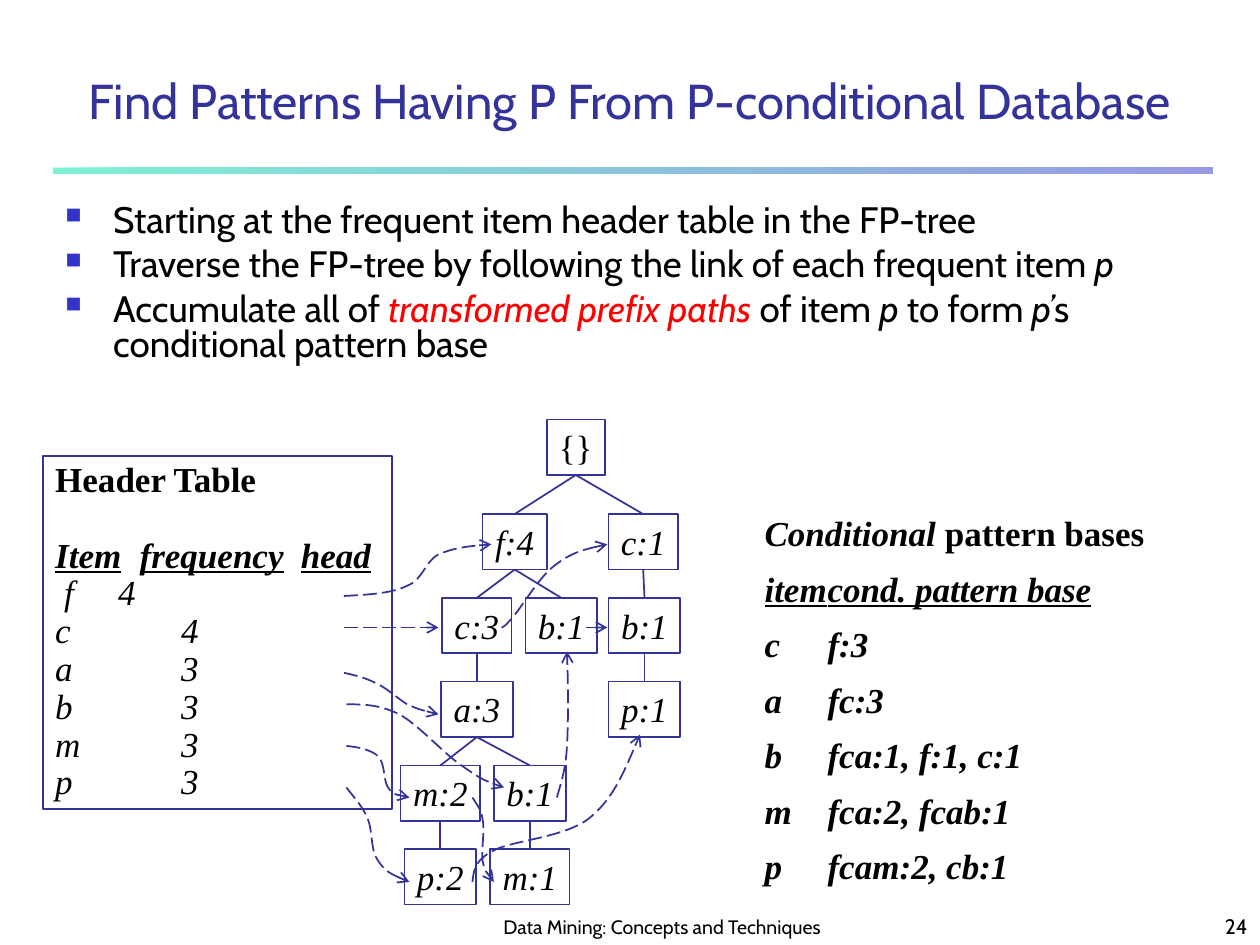
from dataclasses import dataclass, field
from typing import Optional

from lxml import etree
from pptx import Presentation
from pptx.dml.color import RGBColor
from pptx.enum.dml import MSO_LINE
from pptx.enum.shapes import MSO_CONNECTOR, MSO_SHAPE
from pptx.enum.text import MSO_ANCHOR, PP_ALIGN
from pptx.oxml.ns import qn
from pptx.util import Inches, Pt

LEFT, CENTER, RIGHT = PP_ALIGN.LEFT, PP_ALIGN.CENTER, PP_ALIGN.RIGHT
TOP, BOTTOM = MSO_ANCHOR.TOP, MSO_ANCHOR.BOTTOM
RECTANGLE, STRAIGHT = MSO_SHAPE.RECTANGLE, MSO_CONNECTOR.STRAIGHT
LONG_DASH = MSO_LINE.LONG_DASH


@dataclass(frozen=True)
class Theme:
    sans: str = "Cabin"
    serif: str = "Times New Roman"
    ink: str = "000000"
    navy: str = "333399"
    bullet: str = "3333CC"
    mint: str = "00E4A8"
    accent: str = "FF0000"
    title: float = 28
    body: float = 21
    tree: float = 20
    footer: float = 11.1
    number: float = 12
    line: float = 1


THEME = Theme()


@dataclass
class Para:
    runs: list
    spacing: float = 1.0
    before: float = 0
    align: PP_ALIGN = LEFT
    bullet: bool = False
    indent: float = 0
    tabs: tuple = ()


@dataclass
class Style:
    font: str
    size: float
    color: str = THEME.ink
    format: dict = field(default_factory=dict)


@dataclass(frozen=True)
class Node:
    label: str
    left: float
    level: int
    width: float
    parent: Optional[int] = None
    height: float = 0.44

    @property
    def top(self) -> float:
        return 4.08 + 0.665 * (self.level - 1) if self.level else 3.33

    @property
    def middle(self) -> float:
        return self.left + self.width / 2


def add_child(parent, tag: str, **attributes):
    return etree.SubElement(parent, qn(tag), attributes)


def write(frame, paras: list, style: Style, anchor=TOP, wrap=True) -> None:
    frame.word_wrap = wrap
    frame.vertical_anchor = anchor
    for index, para in enumerate(paras):
        line = frame.paragraphs[0] if index == 0 else frame.add_paragraph()
        line.alignment = para.align
        line.line_spacing = para.spacing
        if index:
            line.space_before = Pt(para.before)
        props = line._p.get_or_add_pPr()
        if para.indent:
            props.set("indent", str(Inches(para.indent)))
        if para.bullet:
            props.set("marL", str(Inches(0.38)))
            props.set("indent", str(Inches(-0.38)))
            add_child(add_child(props, "a:buClr"), "a:srgbClr", val=THEME.bullet)
            add_child(props, "a:buSzPct", val="60000")
            add_child(props, "a:buChar", char="■")
        if para.tabs:
            stops = add_child(props, "a:tabLst")
            for stop in para.tabs:
                add_child(stops, "a:tab", pos=str(Inches(stop)), algn="l")
        for text, changes in para.runs:
            run = line.add_run()
            run.text = text
            values = {"name": style.font, "size": Pt(style.size), **style.format, **changes}
            run.font.color.rgb = RGBColor.from_string(values.pop("color", style.color))
            for key, value in values.items():
                setattr(run.font, key, value)


def add_text(slide, box: tuple, paras: list, style: Style, anchor=TOP) -> None:
    write(slide.shapes.add_textbox(*map(Inches, box)).text_frame, paras, style, anchor)


def set_line(line, dashed: bool) -> None:
    line.color.rgb = RGBColor.from_string(THEME.navy)
    line.width = Pt(THEME.line)
    if dashed:
        line.dash_style = LONG_DASH
        add_child(line._get_or_add_ln(), "a:tailEnd", type="arrow")


def add_box(slide, box: tuple, paras: list, style: Style, wrap: bool) -> None:
    frame = slide.shapes.add_shape(RECTANGLE, *map(Inches, box))
    frame.shadow.inherit = False
    frame.fill.background()
    set_line(frame.line, False)
    write(frame.text_frame, paras, style, TOP, wrap)


def add_edge(slide, start: tuple, end: tuple, dashed=False) -> None:
    edge = slide.shapes.add_connector(STRAIGHT, *map(Inches, (*start, *end)))
    set_line(edge.line, dashed)
    add_child(edge._element.spPr, "a:effectLst")


def add_curve(slide, points: list) -> None:
    start, *rest = [(Inches(x), Inches(y)) for x, y in points]
    builder = slide.shapes.build_freeform(*start)
    builder.add_line_segments(rest, close=False)
    link = builder.convert_to_shape()
    link.shadow.inherit = False
    link.fill.background()
    set_line(link.line, True)
    outline = next(link._element.iter(qn("a:path")))
    segments = outline.findall(qn("a:lnTo"))
    for first in range(0, len(segments), 3):
        bezier = add_child(outline, "a:cubicBezTo")
        for segment in segments[first:first + 3]:
            bezier.append(segment[0])
            outline.remove(segment)


def add_rule(slide) -> None:
    rule = slide.shapes.add_shape(RECTANGLE, *map(Inches, (0.42, 1.33, 9.2, 0.05)))
    rule.shadow.inherit = False
    rule.line.fill.background()
    rule.fill.gradient()
    rule.fill.gradient_angle = 0
    for stop, color in zip(rule.fill.gradient_stops, (THEME.mint, THEME.bullet)):
        stop.color.rgb = RGBColor.from_string(color)
    for color in rule._element.spPr.iter(qn("a:srgbClr")):
        add_child(color, "a:alpha", val="50000")


ITALIC, PLAIN = {"italic": True}, {}
BULLETS = [
    [("Starting at the frequent item header table in the FP-tree", PLAIN)],
    [("Traverse the FP-tree by following the link of each frequent item ", PLAIN), ("p", ITALIC)],
    [("Accumulate all of ", PLAIN),
     ("transformed prefix paths", {"italic": True, "color": THEME.accent}),
     (" of item ", PLAIN), ("p ", ITALIC), ("to form ", PLAIN), ("p’", ITALIC),
     ("s conditional pattern base", PLAIN)],
]
FREQUENCIES = {"f": 4, "c": 4, "a": 3, "b": 3, "m": 3, "p": 3}
PATTERN_BASES = {"c": "f:3", "a": "fc:3", "b": "fca:1, f:1, c:1",
                 "m": "fca:2, fcab:1", "p": "fcam:2, cb:1"}
TREE = [
    Node("{}", 4.34, 0, 0.46),
    Node("f:4", 3.83, 1, 0.51, 0), Node("c:1", 4.83, 1, 0.55, 0),
    Node("c:3", 3.51, 2, 0.55, 1), Node("b:1", 4.17, 2, 0.57, 1), Node("b:1", 4.83, 2, 0.57, 2),
    Node("a:3", 3.5, 3, 0.57, 3), Node("p:1", 4.83, 3, 0.57, 5),
    Node("m:2", 3.18, 4, 0.63, 6), Node("b:1", 3.92, 4, 0.57, 6),
    Node("p:2", 3.21, 5, 0.57, 8), Node("m:1", 3.89, 5, 0.63, 9),
]
STRAIGHT_LINKS = [((2.73, 4.98), (3.48, 4.98)), ((4.65, 4.98), (4.82, 4.98))]
CURVED_LINKS = [
    [(2.73, 4.73), (2.92, 4.72), (3.11, 4.71), (3.23, 4.65), (3.36, 4.6), (3.37, 4.46),
     (3.48, 4.4), (3.6, 4.35), (3.75, 4.33), (3.9, 4.32)],
    [(3.98, 4.98), (3.99, 4.98), (4, 4.98), (4.07, 4.9), (4.14, 4.82), (4.28, 4.58),
     (4.4, 4.49), (4.53, 4.39), (4.67, 4.35), (4.82, 4.32)],
    [(2.73, 5.34), (2.82, 5.36), (2.9, 5.38), (2.98, 5.42), (3.07, 5.46), (3.15, 5.54),
     (3.23, 5.59), (3.32, 5.63), (3.4, 5.65), (3.48, 5.67)],
    [(2.75, 5.59), (2.88, 5.59), (3.01, 5.59), (3.17, 5.67), (3.32, 5.75), (3.53, 5.99),
     (3.67, 6.08), (3.81, 6.18), (3.9, 6.22), (4, 6.25)],
    [(4.42, 6.33), (4.45, 6.22), (4.49, 6.11), (4.5, 5.92), (4.51, 5.72), (4.51, 5.45), (4.5, 5.17)],
    [(2.75, 5.92), (2.85, 5.93), (2.94, 5.95), (3, 6), (3.06, 6.06), (3.04, 6.19),
     (3.08, 6.25), (3.12, 6.31), (3.19, 6.32), (3.25, 6.33)],
    [(3.75, 6.33), (3.78, 6.38), (3.82, 6.42), (3.83, 6.5), (3.85, 6.58), (3.82, 6.75),
     (3.83, 6.83), (3.85, 6.92), (3.88, 6.96), (3.92, 7)],
    [(2.75, 6.25), (2.81, 6.33), (2.88, 6.4), (2.92, 6.5), (2.96, 6.6), (2.94, 6.75),
     (3, 6.83), (3.06, 6.92), (3.15, 6.96), (3.25, 7)],
    [(3.75, 7), (3.76, 6.92), (3.76, 6.83), (3.92, 6.75), (4.07, 6.67), (4.47, 6.65),
     (4.67, 6.5), (4.86, 6.35), (4.97, 6.09), (5.08, 5.83)],
]


def add_tree(slide, style: Style) -> None:
    for node in TREE:
        label = Para([(node.label, {"italic": node.parent is not None})], align=CENTER)
        add_box(slide, (node.left, node.top, node.width, node.height), [label], style, False)
        if node.parent is not None:
            parent = TREE[node.parent]
            add_edge(slide, (parent.middle, parent.top + parent.height), (node.middle, node.top))


def main() -> None:
    deck = Presentation()
    deck.slide_width, deck.slide_height = Inches(10), Inches(7.5)
    slide = deck.slides.add_slide(deck.slide_layouts[6])
    serif = Style(THEME.serif, THEME.tree)
    strong = Style(THEME.serif, THEME.tree, format={"bold": True, "italic": True})

    add_rule(slide)
    for box, text, align, style in (
        ((3.67, 7.08, 3.17, 0.42), "Data Mining: Concepts and Techniques", CENTER,
         Style(THEME.sans, THEME.footer)),
        ((7.92, 7.08, 2.08, 0.42), "24", RIGHT, Style(THEME.sans, THEME.number)),
        ((0.33, 0.33, 9.33, 0.75), "Find Patterns Having P From P-conditional Database", CENTER,
         Style(THEME.sans, THEME.title, THEME.navy)),
    ):
        spacing = 0.9 if style.size == THEME.title else 1.0
        add_text(slide, box, [Para([(text, PLAIN)], spacing, align=align)], style, BOTTOM)
    add_text(slide, (0.42, 1.58, 9.17, 1.67),
             [Para(runs, 0.8, 5.2, bullet=True) for runs in BULLETS], Style(THEME.sans, THEME.body))

    bases = [Para([("Conditional ", PLAIN), ("pattern bases", {"italic": False})]),
             Para([("item\tcond. pattern base", {"underline": True})], 0.8, 12.5)]
    bases += [Para([(f"{item}\t{base}", PLAIN)], 0.8, 12.5) for item, base in PATTERN_BASES.items()]
    add_text(slide, (5.97, 4.01, 3.64, 3.08), bases, strong)

    add_tree(slide, serif)
    header = [Para([("Header Table", {"bold": True})], 0.9),
              Para([("Item\tfrequency\thead", {**strong.format, "underline": True})], 0.9, 21.6,
                   tabs=(0.67, 1.95))]
    header += [Para([(f"{item}\t{count}", ITALIC)], 0.9, indent=0.07 if item == "f" else 0, tabs=(1,))
               for item, count in FREQUENCIES.items()]
    add_box(slide, (0.34, 3.62, 2.77, 2.8), header, serif, True)
    for start, end in STRAIGHT_LINKS:
        add_edge(slide, start, end, dashed=True)
    for points in CURVED_LINKS:
        add_curve(slide, points)
    deck.save("out.pptx")


if __name__ == "__main__":
    main()
